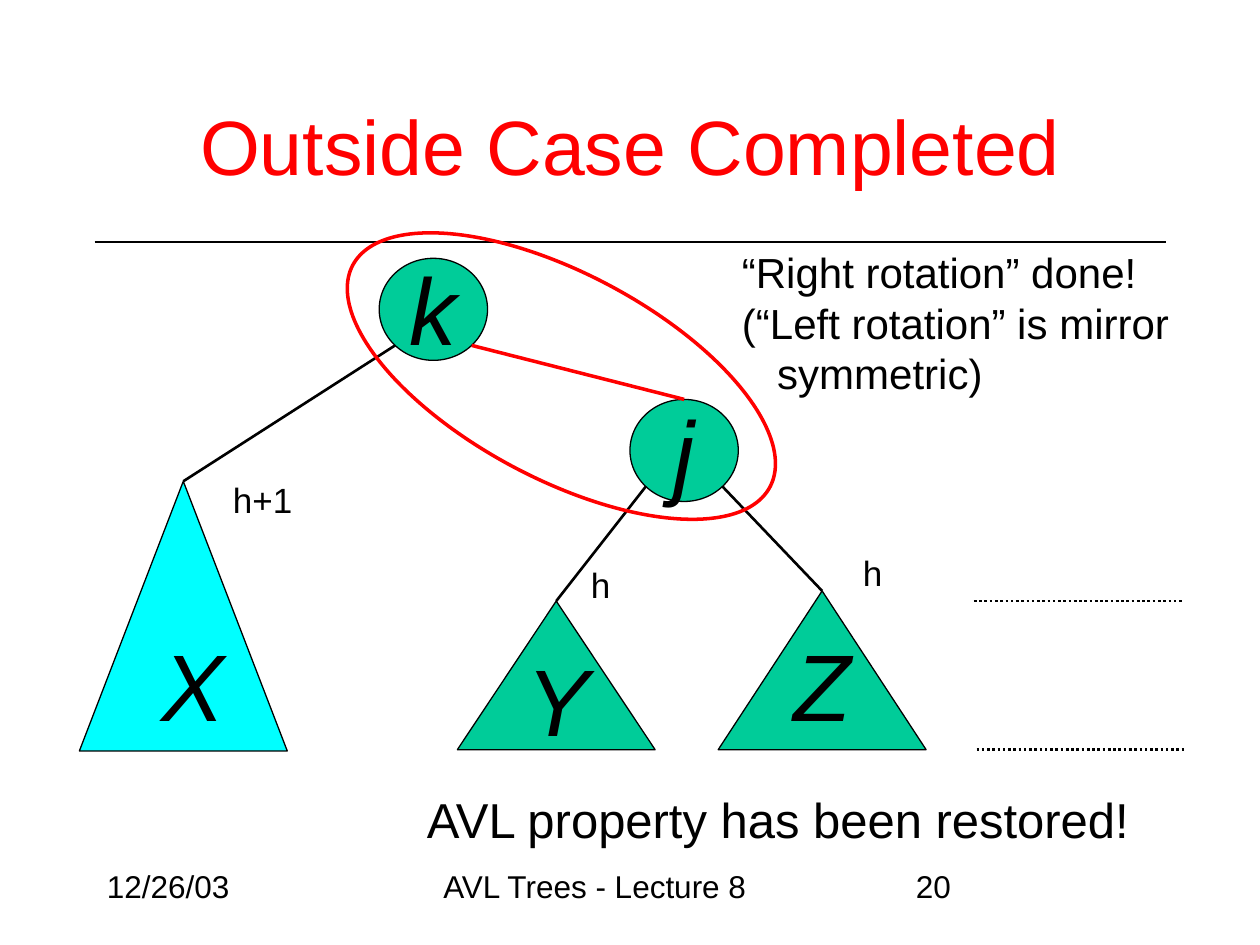
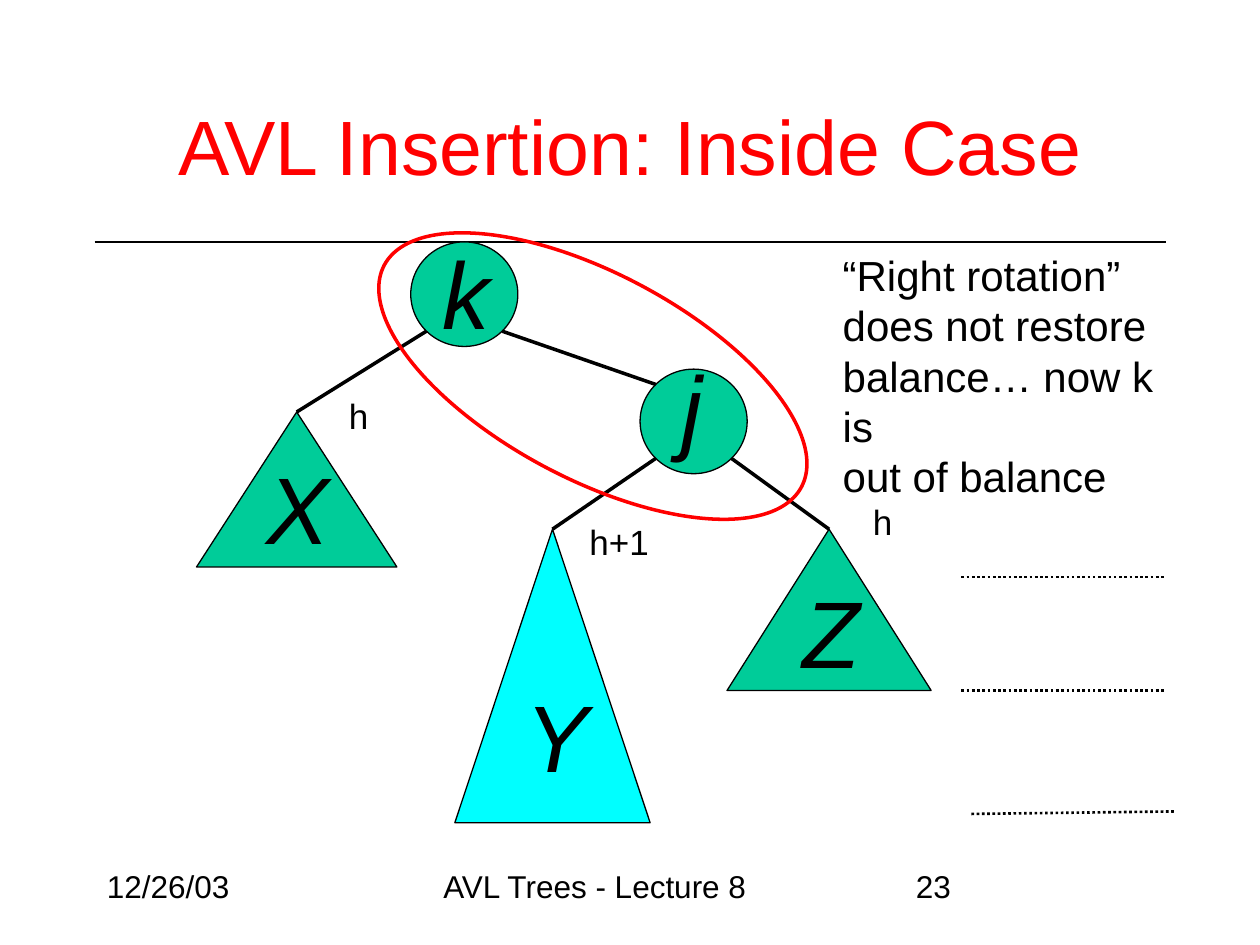
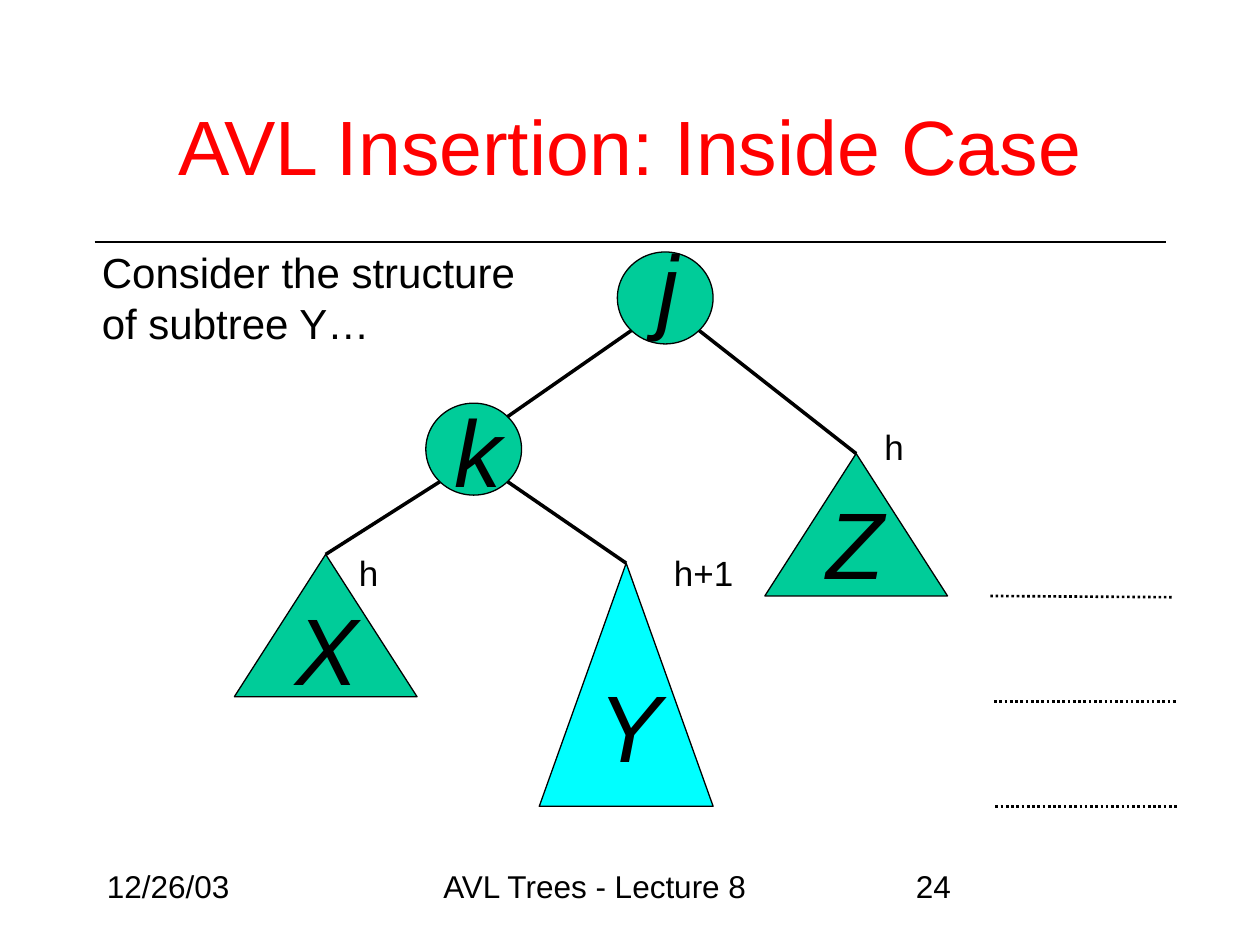
from dataclasses import dataclass
from math import sqrt

from lxml.etree import SubElement
from pptx import Presentation
from pptx.dml.color import RGBColor
from pptx.enum.dml import MSO_LINE
from pptx.enum.shapes import MSO_CONNECTOR, MSO_SHAPE
from pptx.enum.text import MSO_ANCHOR, MSO_AUTO_SIZE, PP_ALIGN
from pptx.oxml.ns import qn
from pptx.util import Inches, Pt


@dataclass(frozen=True)
class Theme:
    """Colours, font and point sizes shared by all slides."""

    font: str = "Arial"
    ink: RGBColor = RGBColor(0x00, 0x00, 0x00)
    accent: RGBColor = RGBColor(0xFF, 0x00, 0x00)
    balanced: RGBColor = RGBColor(0x00, 0xCC, 0x99)
    deeper: RGBColor = RGBColor(0x00, 0xFF, 0xFF)
    title: int = 44
    letter: int = 54
    remark: int = 28
    note: int = 24
    height: int = 20
    footer: int = 18
    thin: float = 0.75
    medium: float = 1.5
    bold: float = 2


THEME = Theme()


def add_span(para, text, size, color=THEME.ink, italic=False):
    """Append one formatted run to a paragraph."""
    span = para.add_run()
    span.text = text
    span.font.name = THEME.font
    span.font.size = Pt(size)
    span.font.italic = italic
    span.font.color.rgb = color


def add_text(page, lines, left, top, width, height, size, wrap=False, italic=False, indents=()):
    """Add a text box with one paragraph per line; indents maps line to inches."""
    box = page.shapes.add_textbox(Inches(left), Inches(top), Inches(width), Inches(height))
    frame = box.text_frame
    frame.word_wrap = wrap
    frame.auto_size = MSO_AUTO_SIZE.SHAPE_TO_FIT_TEXT
    for index, line in enumerate(lines):
        para = frame.paragraphs[0] if index == 0 else frame.add_paragraph()
        if index in indents:
            properties = para._p.get_or_add_pPr()
            properties.set("marL", str(Inches(indents[index])))
            properties.set("indent", "0")
        add_span(para, line, size, italic=italic)


def add_line(page, start, end, width, color=THEME.ink, dash=None):
    """Draw a straight connector without a shadow."""
    line = page.shapes.add_connector(
        MSO_CONNECTOR.STRAIGHT, *[Inches(value) for value in (*start, *end)]
    )
    line.line.width = Pt(width)
    line.line.color.rgb = color
    if dash is not None:
        line.line.dash_style = dash
    SubElement(line._element.spPr, qn("a:effectLst"))
    return line


def add_outline(page, kind, left, top, width, height, fill=None, color=THEME.ink, weight=THEME.thin):
    """Add a preset shape with an outline and an optional fill."""
    shape = page.shapes.add_shape(kind, Inches(left), Inches(top), Inches(width), Inches(height))
    shape.shadow.inherit = False
    if fill is None:
        shape.fill.background()
    else:
        shape.fill.solid()
        shape.fill.fore_color.rgb = fill
    shape.line.color.rgb = color
    shape.line.width = Pt(weight)
    return shape


def add_letter(page, letter, left, top):
    """Place the large italic name of a node or subtree."""
    add_text(page, [letter], left, top, 0.52, 1, THEME.letter, wrap=True, italic=True)


def add_node(page, letter, place, letter_at=None):
    """Add a round node, with its name inside the shape or at a given place."""
    node = add_outline(page, MSO_SHAPE.OVAL, *place, THEME.balanced)
    if letter_at:
        add_letter(page, letter, *letter_at)
    else:
        frame = node.text_frame
        frame.word_wrap = False
        frame.vertical_anchor = MSO_ANCHOR.MIDDLE
        frame.paragraphs[0].alignment = PP_ALIGN.CENTER
        add_span(frame.paragraphs[0], letter, THEME.letter, italic=True)
    return node


def add_subtree(page, letter, place, letter_at, fill=THEME.balanced):
    """Add a triangle that stands for a whole subtree."""
    subtree = add_outline(page, MSO_SHAPE.ISOSCELES_TRIANGLE, *place, fill)
    add_letter(page, letter, *letter_at)
    return subtree


def rim(node, across, down):
    """Return the diagonal rim point of a node; signs choose the quarter."""
    x = node.left + node.width / 2 * (1 + across / sqrt(2))
    y = node.top + node.height / 2 * (1 + down / sqrt(2))
    return x / Inches(1), y / Inches(1)


def add_branch(page, node, side, child, width=THEME.bold, color=THEME.ink):
    """Join the lower rim of a node to the top of its child."""
    start = rim(node, side, 1)
    branch = add_line(page, start, start, width, color)
    branch.end_connect(child, 0)


def add_ring(page, left):
    """Circle the rotated pair of nodes."""
    ring = add_outline(page, MSO_SHAPE.OVAL, left, 2.17, 3.75, 1.63, color=THEME.accent, weight=THEME.bold)
    ring.rotation = 28


def add_levels(page, width, levels):
    """Draw dotted level marks from (left, start height, end height)."""
    for left, start, end in levels:
        add_line(page, (left, start), (left + width, end), THEME.medium, dash=MSO_LINE.ROUND_DOT)


def add_heights(page, heights):
    """Label subtrees with their heights."""
    for text, left, top in heights:
        add_text(page, [text], left, top, 0.67 if text == "h+1" else 0.35, 0.44, THEME.height)


def add_page(deck, title, number):
    """Add a slide with title, rule and footer."""
    page = deck.slides.add_slide(deck.slide_layouts[5])
    heading = page.shapes.title
    heading.left, heading.top, heading.width, heading.height = map(Inches, (0.73, 0.71, 8.55, 0.88))
    frame = heading.text_frame
    frame.vertical_anchor = MSO_ANCHOR.MIDDLE
    frame.paragraphs[0].alignment = PP_ALIGN.CENTER
    add_span(frame.paragraphs[0], title, THEME.title, THEME.accent)
    add_line(page, (0.75, 1.92), (9.25, 1.92), THEME.thin)
    footers = (("12/26/03", 0.75, 2.08), ("AVL Trees - Lecture 8", 3.42, 3.16), (number, 7.17, 2.08))
    for text, left, width in footers:
        add_text(page, [text], left, 6.83, width, 0.5, THEME.footer, wrap=True)
    return page


def build_completed(deck):
    """Show the tree after the outside case is repaired."""
    page = add_page(deck, "Outside Case Completed", "20")
    j = add_node(page, "j", (5, 3.17, 0.86, 0.81))
    k = add_node(page, "k", (3.01, 2.05, 0.86, 0.81), (3.15, 1.94))
    x = add_subtree(page, "X", (0.63, 3.82, 1.65, 2.14), (1.18, 4.93), THEME.deeper)
    y = add_subtree(page, "Y", (3.63, 4.77, 1.57, 1.18), (4.08, 5.05))
    z = add_subtree(page, "Z", (5.7, 4.69, 1.65, 1.26), (6.2, 4.93))
    add_levels(page, 1.65, [(7.73, 4.77, 4.77), (7.75, 5.95, 5.95)])
    note = ["“Right rotation” done!", "(“Left rotation” is mirror", "symmetric)"]
    add_text(page, note, 5.79, 1.91, 3.59, 1.3, THEME.note, indents={2: 0.28})
    for node, side, child in ((k, -1, x), (j, -1, y), (j, 1, z)):
        add_branch(page, node, side, child, THEME.medium)
    add_text(page, ["AVL property has been restored!"], 3.29, 6.22, 5.83, 0.57, THEME.remark)
    add_branch(page, k, 1, j, color=THEME.accent)
    add_ring(page, 2.58)
    add_heights(page, [("h", 6.75, 4.33), ("h+1", 1.75, 3.75), ("h", 4.59, 4.42)])


def build_unbalanced(deck):
    """Show that one right rotation fails in the inside case."""
    page = add_page(deck, "AVL Insertion: Inside Case", "23")
    j = add_node(page, "j", (5.08, 2.93, 0.85, 0.83), (5.31, 2.72))
    k = add_node(page, "k", (3.26, 1.92, 0.85, 0.83), (3.41, 1.82))
    x = add_subtree(page, "X", (1.56, 3.27, 1.59, 1.23), (2.02, 3.52))
    y = add_subtree(page, "Y", (3.61, 4.2, 1.55, 2.33), (4.07, 5.33), THEME.deeper)
    z = add_subtree(page, "Z", (5.77, 4.2, 1.62, 1.28), (6.27, 4.51))
    for node, side, child in ((k, -1, x), (j, -1, y), (j, 1, z)):
        add_branch(page, node, side, child)
    add_line(page, rim(k, 1, 1), rim(j, -1, -1), THEME.bold)
    add_levels(page, 1.62, [(7.63, 5.48, 5.48), (7.63, 4.58, 4.58), (7.71, 6.46, 6.44)])
    note = ["“Right rotation”", "does not restore", "balance… now k is", "out of balance"]
    add_text(page, note, 6.59, 1.93, 2.9, 1.7, THEME.note, wrap=True)
    add_ring(page, 2.83)
    add_heights(page, [("h", 6.83, 3.92), ("h+1", 4.58, 4.08), ("h", 2.67, 3.08)])


def build_structure(deck):
    """Show the inside case before the structure of Y is opened."""
    page = add_page(deck, "AVL Insertion: Inside Case", "24")
    add_text(page, ["Consider the structure", "of subtree Y…"], 0.71, 1.91, 3.48, 0.9, THEME.note)
    j = add_node(page, "j", (4.9, 2, 0.76, 0.73), (5.12, 1.76))
    k = add_node(page, "k", (3.38, 3.2, 0.76, 0.73), (3.51, 3.07))
    x = add_subtree(page, "X", (1.86, 4.4, 1.45, 1.13), (2.25, 4.64))
    y = add_subtree(page, "Y", (4.28, 4.47, 1.38, 1.93), (4.65, 5.25), THEME.deeper)
    z = add_subtree(page, "Z", (6.07, 3.6, 1.45, 1.13), (6.46, 3.8))
    for node, side, child in ((k, -1, x), (k, 1, y), (j, 1, z)):
        add_branch(page, node, side, child)
    add_line(page, rim(j, -1, 1), rim(k, 1, -1), THEME.bold)
    add_levels(page, 1.45, [(7.86, 4.73, 4.74), (7.89, 5.57, 5.57), (7.9, 6.4, 6.4)])
    add_heights(page, [("h", 6.92, 3.33), ("h+1", 5.25, 4.33), ("h", 2.75, 4.33)])


def main():
    """Build and save the three slides."""
    deck = Presentation()
    deck.slide_width, deck.slide_height = Inches(10), Inches(7.5)
    build_completed(deck)
    build_unbalanced(deck)
    build_structure(deck)
    deck.save("out.pptx")


if __name__ == "__main__":
    main()
